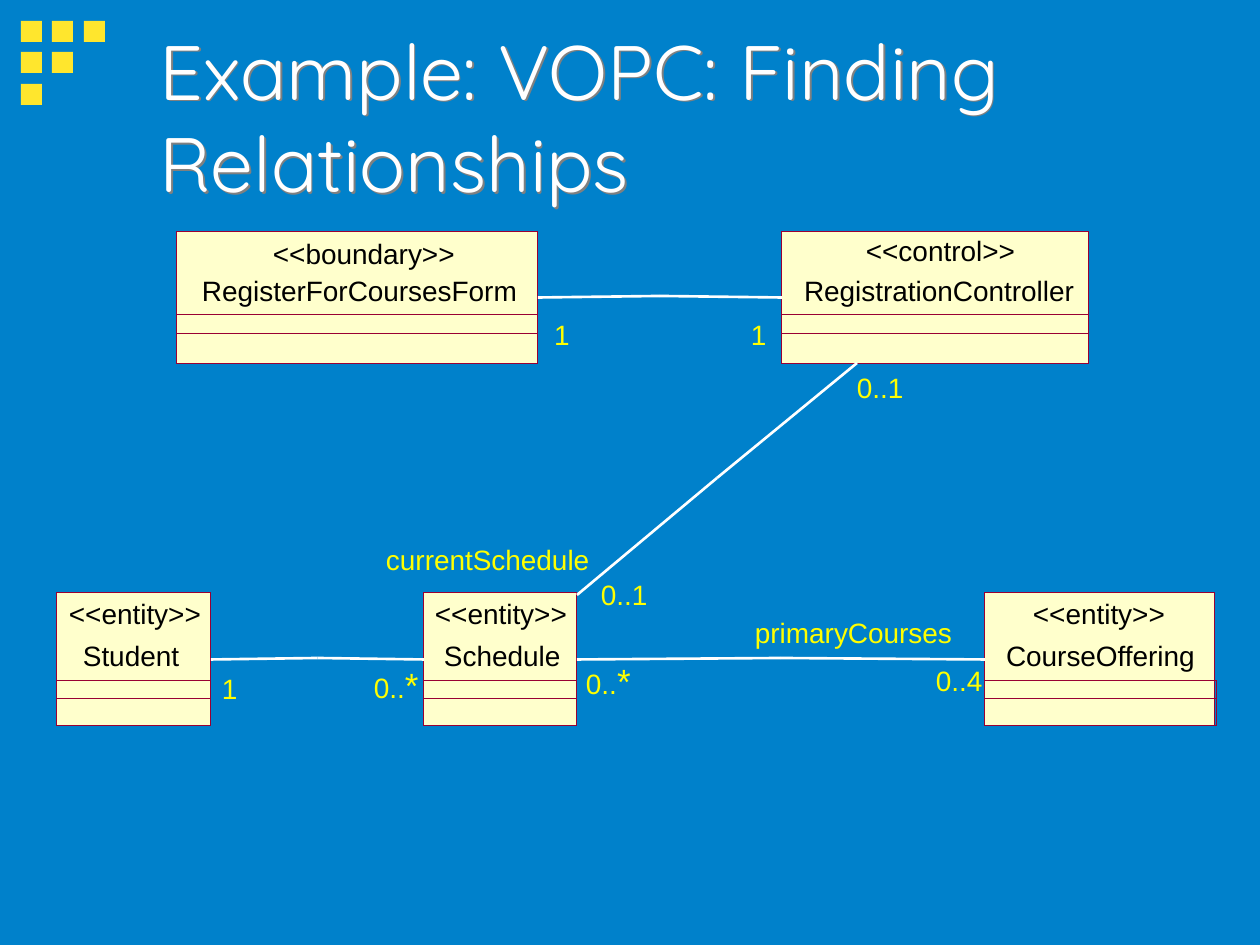
from dataclasses import dataclass
from typing import NamedTuple, Optional

from lxml.etree import SubElement
from pptx import Presentation
from pptx.dml.color import RGBColor
from pptx.enum.shapes import MSO_CONNECTOR as Connector, MSO_SHAPE as Shape
from pptx.enum.text import MSO_ANCHOR as Anchor, MSO_AUTO_SIZE as AutoSize
from pptx.oxml import parse_xml
from pptx.oxml.ns import qn
from pptx.util import Emu, Pt

PX_PER_INCH = 126
COLORS = {
    "background": "0081CB",
    "accent": "FFE62D",
    "class": "FFFFCC",
    "border": "990033",
    "ink": "000000",
    "label": "FFFF00",
    "white": "FFFFFF",
}
TITLE_SHADOW = (
    '<a:effectLst xmlns:a="http://schemas.openxmlformats.org/drawingml/2006/main">'
    '<a:outerShdw dist="18000" dir="2700000" algn="ctr" rotWithShape="0">'
    '<a:srgbClr val="808080"/></a:outerShdw></a:effectLst>'
)
TOP_ROW, BOTTOM_ROW = 231, 593
CLASS_HEIGHT = 133
TEXT_SLACK = 4
LEFT_SIDE, RIGHT_SIDE = 1, 3


class Label(NamedTuple):
    text: str
    x: int
    y: int
    width: int
    star: bool = False


class Joint(NamedTuple):
    """End of an association, glued to a class when a side is given."""
    x: int
    y: int
    class_name: Optional[str] = None
    side: int = 0


@dataclass
class ClassBox:
    name: Label
    stereotype: Label
    x: int
    y: int
    width: int
    dividers: tuple
    overhang: int = 0

    def joint(self, side: int) -> Joint:
        x = self.x + (self.width if side == RIGHT_SIDE else 0)
        return Joint(x, self.y + CLASS_HEIGHT // 2, self.name.text, side)


TOP_DIVIDERS, BOTTOM_DIVIDERS = (84, 103), (87, 106)
FORM = ClassBox(Label("RegisterForCoursesForm", 202, 274, 315),
                Label("<<boundary>>", 273, 237, 181), 176, TOP_ROW, 362, TOP_DIVIDERS)
OFFERING = ClassBox(Label("CourseOffering", 1006, 639, 189),
                    Label("<<entity>>", 1033, 597, 132), 985, BOTTOM_ROW, 230,
                    BOTTOM_DIVIDERS, overhang=2)
SCHEDULE = ClassBox(Label("Schedule", 444, 639, 117),
                    Label("<<entity>>", 435, 597, 132), 424, BOTTOM_ROW, 153, BOTTOM_DIVIDERS)
STUDENT = ClassBox(Label("Student", 83, 639, 96),
                   Label("<<entity>>", 69, 597, 132), 56, BOTTOM_ROW, 155, BOTTOM_DIVIDERS)
CONTROLLER = ClassBox(Label("RegistrationController", 804, 274, 270),
                      Label("<<control>>", 866, 234, 149), 782, TOP_ROW, 307, TOP_DIVIDERS)
CLASSES = [FORM, OFFERING, SCHEDULE, STUDENT, CONTROLLER]

ASSOCIATIONS = [
    (SCHEDULE.joint(RIGHT_SIDE), OFFERING.joint(LEFT_SIDE)),
    (STUDENT.joint(RIGHT_SIDE), SCHEDULE.joint(LEFT_SIDE)),
    (FORM.joint(RIGHT_SIDE), CONTROLLER.joint(LEFT_SIDE)),
    (Joint(577, 595), Joint(857, 363)),
]
LABELS = [
    Label("0..", 586, 659, 45, star=True),
    Label("primaryCourses", 755, 616, 197),
    Label("0..4", 936, 664, 47),
    Label("0..", 374, 663, 45, star=True),
    Label("1", 222, 672, 15),
    Label("1", 554, 318, 15),
    Label("1", 751, 318, 15),
    Label("0..1", 857, 371, 47),
    Label("currentSchedule", 386, 543, 203),
    Label("0..1", 601, 578, 47),
]


def px(value: float) -> Emu:
    return Emu(round(value * 914400 / PX_PER_INCH))


def color(name: str) -> RGBColor:
    return RGBColor.from_string(COLORS[name])


def set_all(target, values: dict) -> None:
    for key, value in values.items():
        setattr(target, key, value)


def add_rectangle(page, x: int, y: int, width: int, height: int,
                  fill: Optional[str] = None, border: Optional[str] = None):
    box = page.shapes.add_shape(Shape.RECTANGLE, px(x), px(y), px(width), px(height))
    box.shadow.inherit = False
    if fill:
        box.fill.solid()
        box.fill.fore_color.rgb = color(fill)
    else:
        box.fill.background()
    if border:
        box.line.color.rgb = color(border)
        box.line.width = Pt(0.01)
    else:
        box.line.fill.background()
    return box


def add_span(para, text: str, size: int, ink: str, font: str = "Arial") -> None:
    span = para.add_run()
    span.text = text
    set_all(span.font, {"size": Pt(size), "name": font})
    span.font.color.rgb = color(ink)


def add_label(page, label: Label, ink: str) -> None:
    height = 42 if label.star else 34
    box = page.shapes.add_textbox(px(label.x), px(label.y),
                                  px(label.width + TEXT_SLACK), px(height))
    margins = dict.fromkeys(("margin_left", "margin_top", "margin_right", "margin_bottom"), 0)
    set_all(box.text_frame, margins | {"word_wrap": False, "auto_size": AutoSize.NONE})
    para = box.text_frame.paragraphs[0]
    add_span(para, label.text, 16, ink)
    if label.star:
        add_span(para, "*", 20, ink)


def add_class(page, item: ClassBox):
    box = add_rectangle(page, item.x, item.y, item.width, CLASS_HEIGHT, "class", "border")
    for offset in item.dividers:
        add_rectangle(page, item.x, item.y + offset, item.width + item.overhang,
                      CLASS_HEIGHT - offset, border="border")
    for label in (item.name, item.stereotype):
        add_label(page, label, "ink")
    return box


def add_association(page, ends: tuple, boxes: dict) -> None:
    """Draw two lines from just above the middle, one to each end."""
    middle_x, middle_y = (sum(axis) / 2 for axis in zip(*(end[:2] for end in ends)))
    for end in ends:
        line = page.shapes.add_connector(Connector.STRAIGHT, px(middle_x), px(middle_y - 1),
                                         px(end.x), px(end.y))
        if end.class_name:
            line.end_connect(boxes[end.class_name], end.side)
        line.line.color.rgb = color("white")
        line.line.width = Pt(1.5)
        SubElement(line._element.spPr, qn("a:effectLst"))


def add_title(page, text: str) -> None:
    box = page.shapes.add_textbox(px(147), px(37), px(1071), px(157))
    set_all(box.text_frame, {"word_wrap": True, "vertical_anchor": Anchor.MIDDLE})
    add_span(box.text_frame.paragraphs[0], text, 44, "white", "Quicksand")
    box._element.spPr.append(parse_xml(TITLE_SHADOW))


def main() -> None:
    deck = Presentation()
    set_all(deck, {"slide_width": px(1260), "slide_height": px(945)})
    page = deck.slides.add_slide(deck.slide_layouts[6])
    page.background.fill.solid()
    page.background.fill.fore_color.rgb = color("background")

    for row in range(3):
        for column in range(3 - row):
            add_rectangle(page, 21 + 63 * column // 2, 21 + 63 * row // 2, 21, 21, "accent")
    add_title(page, "Example: VOPC: Finding Relationships")
    boxes = {item.name.text: add_class(page, item) for item in CLASSES}
    for ends in ASSOCIATIONS:
        add_association(page, ends, boxes)
    for label in LABELS:
        add_label(page, label, "label")
    deck.save("out.pptx")


if __name__ == "__main__":
    main()
